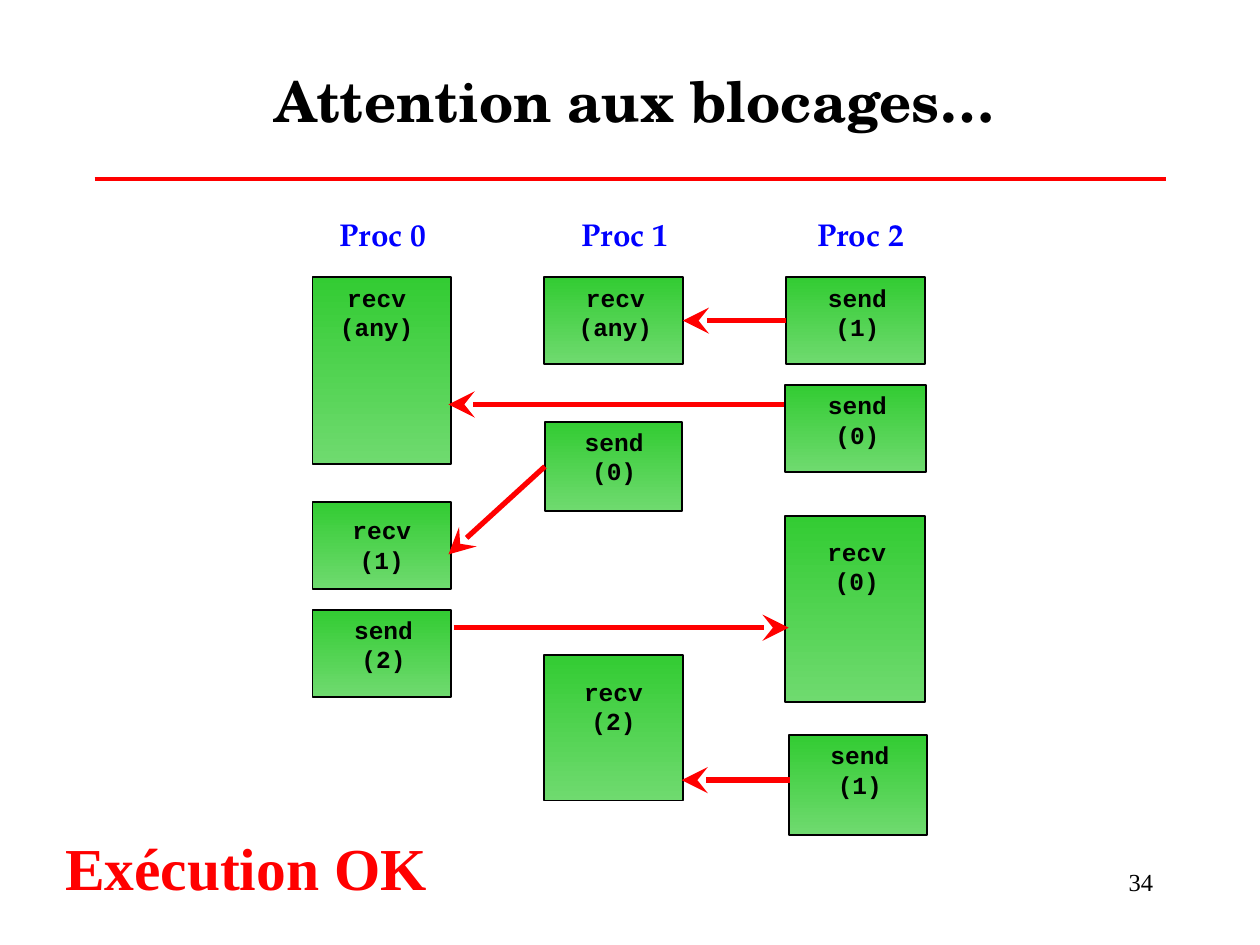
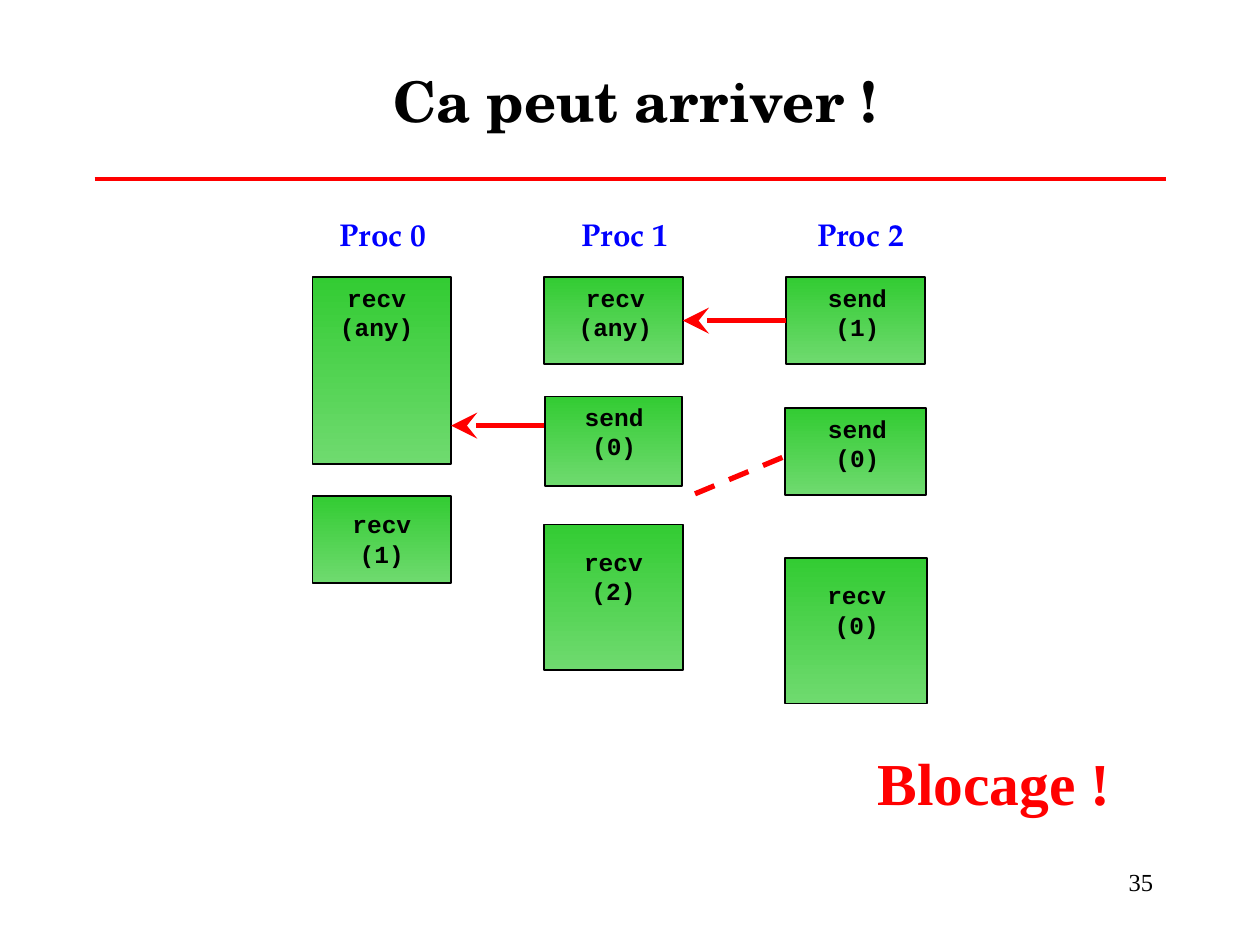
import pptx
import pptx.util
import pptx.dml.color
import pptx.enum.dml
import pptx.enum.shapes
import pptx.enum.text
from lxml import etree

Pt = pptx.util.Pt
RGBColor = pptx.dml.color.RGBColor
ALIGN = pptx.enum.text.PP_ALIGN
ANCHOR = pptx.enum.text.MSO_ANCHOR
A = "{http://schemas.openxmlformats.org/drawingml/2006/main}"

BLACK = RGBColor(0x00, 0x00, 0x00)
RED = RGBColor(0xFF, 0x00, 0x00)
BLUE = RGBColor(0x00, 0x00, 0xFF)
GREEN = RGBColor(0x33, 0xCC, 0x33)
LIGHT_GREEN = RGBColor(0x6F, 0xDA, 0x6F)

JOIN_DISTANCE = 2.7  # an end this close to the middle of a side is joined to it
LABEL_WIDTH = 80

# Blocks: text, left, top, width, height, label centre, label drop
FIRST_BLOCKS = [
    ("recv\n(any)", 178.6, 158.4, 79.2, 106.6, 215.3, 2.5),
    ("recv\n(any)", 311, 158.4, 79.2, 49.7, 351.7, 2.5),
    ("send\n(1)", 449.3, 158.4, 79.2, 49.7, 490, 2.5),
]
# Arrows: from x, from y, to x, to y, dashed
FIRST_ARROW = (448.6, 185.8, 390.2, 185.8, False)

SLIDES = [
    {
        "title": "Attention aux blocages…",
        "number": "34",
        "verdict": ("Exécution OK", 30.2, 471.6, 230),
        "blocks": FIRST_BLOCKS + [
            ("send\n(0)", 448.6, 220, 80.6, 49.7, 490, 2.2),
            ("send\n(0)", 311.4, 241, 78.5, 51.1, 351, 2.2),
            ("recv\n(1)", 178.6, 287, 79.2, 49.7, 218.2, 6.8),
            ("recv\n(0)", 448.6, 294.7, 80, 106.6, 489.6, 11.3),
            ("send\n(2)", 178.6, 348.5, 79.2, 49.7, 219.2, 2.2),
            ("recv\n(2)", 311, 374.2, 79.2, 83.2, 350.6, 12),
            ("send\n(1)", 450.7, 420.2, 79.2, 57, 491.4, 2.2),
        ],
        "arrows": [
            FIRST_ARROW,
            (447.8, 231.1, 256.3, 231.1, False),
            (309.6, 267.8, 256.3, 316.8, False),
            (259.2, 358.7, 450.7, 358.7, False),
            (451.4, 445.8, 389.5, 445.8, False),
        ],
    },
    {
        "title": "Ca peut arriver !",
        "number": "35",
        "verdict": ("Blocage !", 494.6, 422.6, 160),
        "blocks": FIRST_BLOCKS + [
            ("send\n(0)", 448.6, 233.3, 80.6, 49.7, 490, 2.5),
            ("send\n(0)", 311.4, 226.6, 78.5, 51.1, 351, 2.2),
            ("recv\n(1)", 178.6, 283.5, 79.2, 49.7, 218.2, 6.7),
            ("recv\n(2)", 311, 299.7, 79.2, 83.2, 350.6, 12.2),
            ("recv\n(0)", 448.6, 318.8, 81, 83.2, 489.6, 12.2),
        ],
        "arrows": [
            FIRST_ARROW,
            (311, 243.2, 257.8, 243.2, False),
            (447.1, 261.4, 390.2, 285.1, True),
        ],
    },
]


def add_text(s, text, left, top, width, height, font="Times New Roman", size=14,
             color=BLACK, bold=True, align=ALIGN.CENTER, anchor=ANCHOR.TOP,
             margins=(0.7, 0.7)):
    """Add a text box with one paragraph per line; margins are (side, top)."""
    tf = s.shapes.add_textbox(Pt(left), Pt(top), Pt(width), Pt(height)).text_frame
    tf.word_wrap = True
    tf.vertical_anchor = anchor
    tf.margin_left = tf.margin_right = Pt(margins[0])
    tf.margin_top = tf.margin_bottom = Pt(margins[1])
    tf.text = text
    for p in tf.paragraphs:
        p.alignment = align
        for r in p.runs:
            r.font.name = font
            r.font.size = Pt(size)
            r.font.bold = bold
            r.font.color.rgb = color


def add_line(s, x1, y1, x2, y2, weight):
    sp = s.shapes.add_connector(pptx.enum.shapes.MSO_CONNECTOR.STRAIGHT,
                                Pt(x1), Pt(y1), Pt(x2), Pt(y2))
    sp.line.color.rgb = RED
    sp.line.width = Pt(weight)
    etree.SubElement(sp._element.spPr, A + "effectLst")
    return sp


prs = pptx.Presentation()
prs.slide_width, prs.slide_height = Pt(720), Pt(540)

for content in SLIDES:
    s = prs.slides.add_slide(prs.slide_layouts[6])
    add_line(s, 54, 102.2, 666, 102.2, 2.25)
    add_text(s, content["title"], 57, 27.4, 612, 59.8, font="TeX Gyre Schola",
             size=32, anchor=ANCHOR.MIDDLE, margins=(7.2, 3.6))
    verdict, left, top, width = content["verdict"]
    add_text(s, verdict, left, top, width, 44.6, size=34, color=RED,
             align=ALIGN.LEFT, margins=(7.2, 3.6))

    for proc, left in enumerate((179.3, 317.5, 452.2)):
        add_text(s, f"Proc {proc}", left, 122.4, 79.2, 18.7,
                 font="TeX Gyre Pagella", size=18, color=BLUE)

    rects = []
    for text, left, top, width, height, centre, drop in content["blocks"]:
        sp = s.shapes.add_shape(pptx.enum.shapes.MSO_SHAPE.RECTANGLE,
                                Pt(left), Pt(top), Pt(width), Pt(height))
        sp.shadow.inherit = False
        sp.fill.gradient()
        sp.fill.gradient_angle = 270
        for stop, color in zip(sp.fill.gradient_stops, (GREEN, LIGHT_GREEN)):
            stop.color.rgb = color
        sp.line.color.rgb = BLACK
        sp.line.width = Pt(1)
        rects.append(sp)
        add_text(s, text, centre - LABEL_WIDTH / 2, top + drop, LABEL_WIDTH, 32.4,
                 font="Courier New")

    for x1, y1, x2, y2, dashed in content["arrows"]:
        sp = add_line(s, x1, y1, x2, y2, 3)
        if dashed:
            sp.line.dash_style = pptx.enum.dml.MSO_LINE.DASH
        else:
            etree.SubElement(sp.line._get_or_add_ln(), A + "tailEnd",
                             type="stealth", w="lg", len="lg")
        for rect in rects:
            middle = (rect.top + rect.height / 2) / Pt(1)
            for site, side in ((1, rect.left), (3, rect.left + rect.width)):
                for x, y, join in ((x1, y1, sp.begin_connect), (x2, y2, sp.end_connect)):
                    if max(abs(x - side / Pt(1)), abs(y - middle)) < JOIN_DISTANCE:
                        join(rect, site)

    add_text(s, content["number"], 516.2, 491.8, 149.8, 36, bold=False,
             align=ALIGN.RIGHT, margins=(7.2, 3.6))

prs.save("out.pptx")
